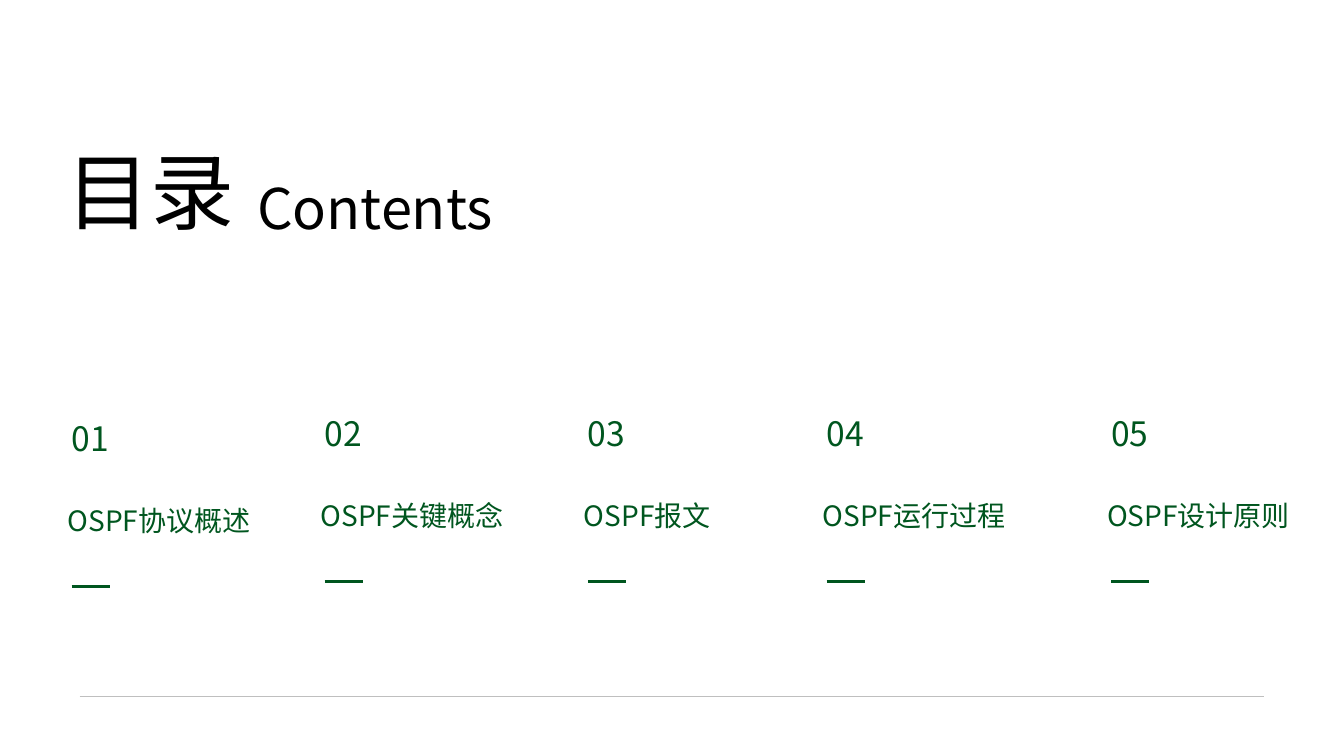
from dataclasses import dataclass

from lxml.etree import SubElement
from pptx import Presentation
from pptx.dml.color import RGBColor
from pptx.enum.shapes import MSO_CONNECTOR
from pptx.enum.text import MSO_ANCHOR, MSO_AUTO_SIZE, PP_ALIGN
from pptx.oxml.ns import qn
from pptx.util import Inches, Pt

TITLE = "目录"
SUBTITLE = "Contents"
# chapter, left edge, label width, top of the number
CHAPTERS = [
    ("OSPF协议概述", 0.67, 1.95, 4.15),
    ("OSPF关键概念", 3.18, 1.95, 4.10),
    ("OSPF报文", 5.79, 2.21, 4.10),
    ("OSPF运行过程", 8.16, 2.14, 4.10),
    ("OSPF设计原则", 10.98, 2.14, 4.10),
]
NUMBER_INDENT = 0.04
LABEL_DROP = 0.85
DASH_DROP = 1.67
DASH_LENGTH = 0.38


@dataclass(frozen=True)
class Theme:
    font: str = "Noto Sans CJK SC"
    green: RGBColor = RGBColor(0x00, 0x56, 0x1F)
    black: RGBColor = RGBColor(0x00, 0x00, 0x00)
    gray: RGBColor = RGBColor(0xBF, 0xBF, 0xBF)
    title_size: int = 60
    subtitle_size: int = 40
    number_size: int = 24
    label_size: int = 20


THEME = Theme()


def fill_text(shape, text, box, size, color, wrap=True):
    """Place a shape at box (left, top, width, height in inches) and set its text."""
    shape.left, shape.top, shape.width, shape.height = map(Inches, box)
    frame = shape.text_frame
    frame.margin_left = frame.margin_top = frame.margin_right = frame.margin_bottom = 0
    frame.auto_size = MSO_AUTO_SIZE.NONE
    frame.word_wrap = wrap
    frame.vertical_anchor = MSO_ANCHOR.TOP
    frame.text = text
    paragraph = frame.paragraphs[0]
    paragraph.alignment = PP_ALIGN.LEFT
    font = paragraph.font
    font.name = THEME.font
    font.size = Pt(size)
    font.color.rgb = color
    # East Asian characters take their typeface from a separate element
    properties = paragraph._p.find(qn("a:pPr")).find(qn("a:defRPr"))
    SubElement(properties, qn("a:ea"), typeface=THEME.font)


def add_text(slide, text, box, size, color, wrap=True):
    shape = slide.shapes.add_textbox(*map(Inches, box))
    fill_text(shape, text, box, size, color, wrap)


def add_rule(slide, left, top, length, color, weight):
    rule = slide.shapes.add_connector(
        MSO_CONNECTOR.STRAIGHT,
        Inches(left), Inches(top), Inches(left + length), Inches(top),
    )
    rule.line.color.rgb = color
    rule.line.width = Pt(weight)
    SubElement(rule._element.spPr, qn("a:effectLst"))


def add_chapter(slide, number, label, left, width, top):
    inner_left = left + NUMBER_INDENT
    add_text(slide, f"{number:02d}", (inner_left, top, 0.74, 0.4),
             THEME.number_size, THEME.green)
    add_text(slide, label, (left, top + LABEL_DROP, width, 0.34),
             THEME.label_size, THEME.green)
    add_rule(slide, inner_left, top + DASH_DROP, DASH_LENGTH, THEME.green, 2)


def main():
    presentation = Presentation()
    presentation.slide_width = Inches(13.33)
    presentation.slide_height = Inches(7.5)
    slide = presentation.slides.add_slide(
        presentation.slide_layouts.get_by_name("Title Only"))

    fill_text(slide.shapes.title, TITLE, (0.66, 1.38, 1.68, 1.01),
              THEME.title_size, THEME.black, wrap=False)
    add_text(slide, SUBTITLE, (2.55, 1.72, 2.71, 0.67),
             THEME.subtitle_size, THEME.black, wrap=False)
    for number, chapter in enumerate(CHAPTERS, start=1):
        add_chapter(slide, number, *chapter)
    add_rule(slide, 0.79, 6.91, 11.75, THEME.gray, 0.75)

    presentation.save("out.pptx")


if __name__ == "__main__":
    main()
